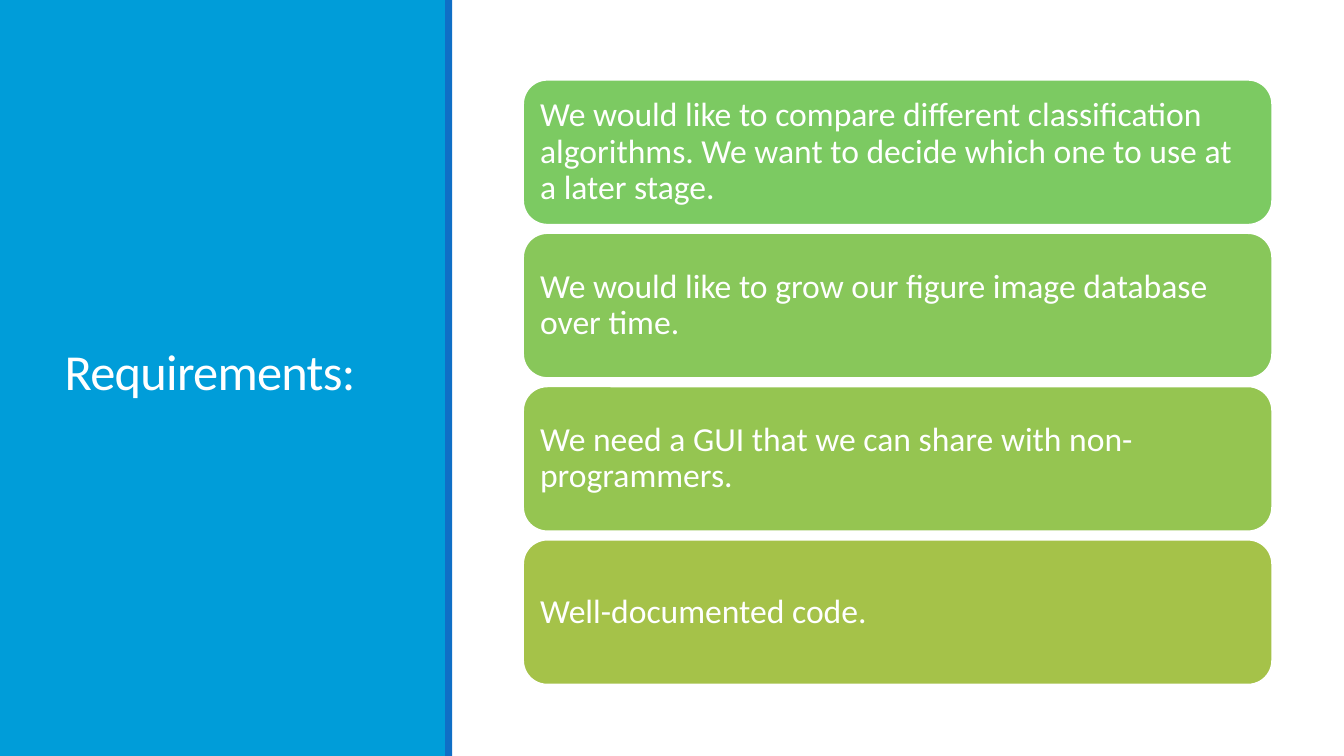
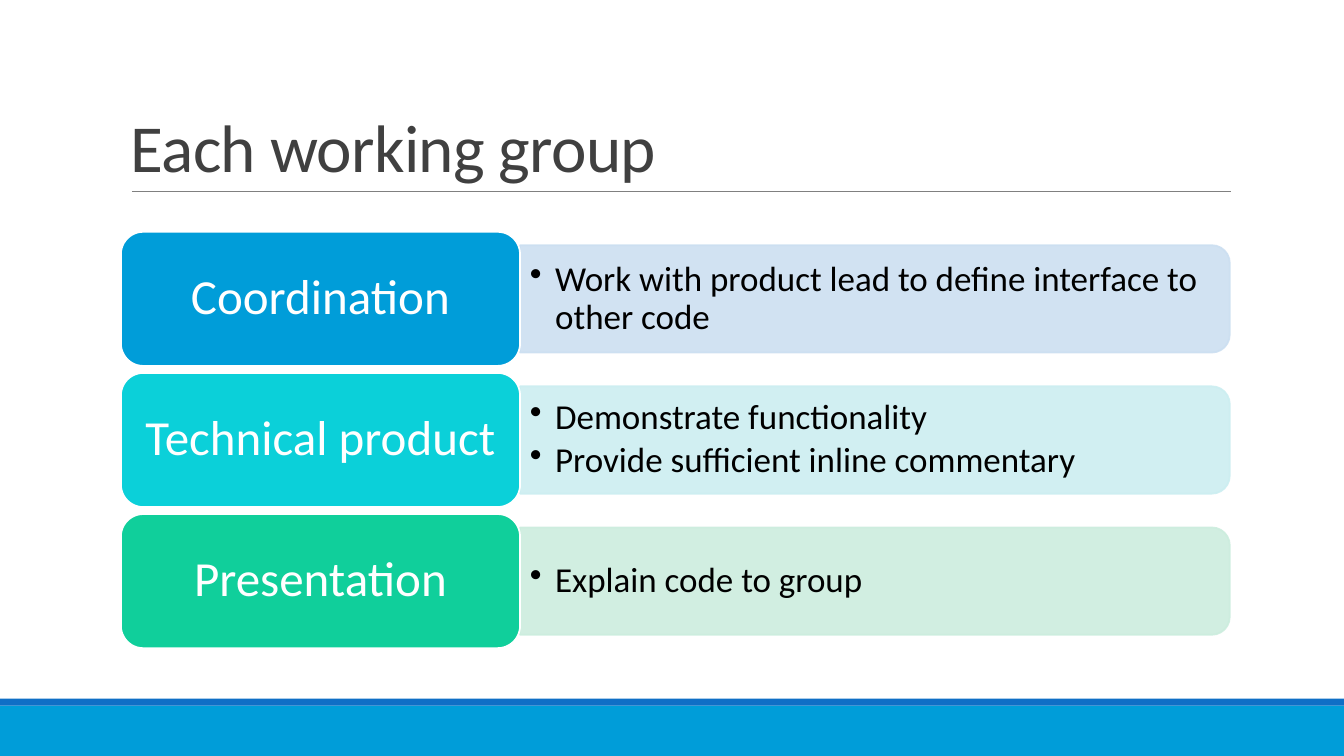
from dataclasses import dataclass

from lxml.etree import SubElement
from pptx import Presentation
from pptx.dml.color import RGBColor
from pptx.enum.shapes import MSO_CONNECTOR as Connector, MSO_SHAPE as Shape
from pptx.enum.text import MSO_ANCHOR as Anchor, PP_ALIGN as Align
from pptx.oxml.ns import qn
from pptx.util import Pt

WHITE = RGBColor(0xFF, 0xFF, 0xFF)
BLACK = RGBColor(0x00, 0x00, 0x00)
CHARCOAL = RGBColor(0x40, 0x40, 0x40)
GREY = RGBColor(0x80, 0x80, 0x80)
SKY = RGBColor(0x00, 0x9D, 0xD9)
BLUE = RGBColor(0x0F, 0x6F, 0xC6)
CYAN = RGBColor(0x0B, 0xD0, 0xD9)
MINT = RGBColor(0x10, 0xCF, 0x9B)
PALE_SKY = RGBColor(0xCC, 0xDF, 0xF1)
PALE_CYAN = RGBColor(0xCC, 0xEE, 0xF1)
PALE_MINT = RGBColor(0xCC, 0xED, 0xDE)
GREEN = RGBColor(0x7C, 0xCA, 0x62)
LEAF = RGBColor(0x88, 0xC7, 0x5A)
LIME = RGBColor(0x95, 0xC5, 0x51)
OLIVE = RGBColor(0xA5, 0xC2, 0x49)

FONT = "Calibri"
WIDTH, HEIGHT = 960, 540
STRIPE = 5

REQUIREMENTS = [
    (GREEN, "We would like to compare different classification algorithms. "
            "We want to decide which one to use at a later stage."),
    (LEAF, "We would like to grow our figure image database over time."),
    (LIME, "We need a GUI that we can share with non-programmers."),
    (OLIVE, "Well-documented code."),
]
GROUPS = [
    ("Coordination", SKY, PALE_SKY,
     ["Work with product lead to define interface to other code"]),
    ("Technical product", CYAN, PALE_CYAN,
     ["Demonstrate functionality", "Provide sufficient inline commentary"]),
    ("Presentation", MINT, PALE_MINT, ["Explain code to group"]),
]


@dataclass
class Box:
    """A rectangle in points."""
    left: float
    top: float
    width: float
    height: float

    def lengths(self):
        """Return the four lengths in the order that python-pptx expects."""
        return Pt(self.left), Pt(self.top), Pt(self.width), Pt(self.height)

    def rows(self, count, gap):
        """Split the box into equal rows."""
        height = (self.height - gap * (count - 1)) / count
        return [Box(self.left, self.top + row * (height + gap), self.width, height)
                for row in range(count)]


def set_all(target, values):
    """Set each attribute in a dict of format values."""
    for name, value in values.items():
        setattr(target, name, value)


def write(shape, lines, size, color, anchor=Anchor.MIDDLE, align=Align.LEFT,
          spacing=0.9, after=0, inset=(7.2, 7.2)):
    """Fill a shape with paragraphs and return them."""
    across, down = (Pt(length) for length in inset)
    frame = shape.text_frame
    set_all(frame, {"word_wrap": True, "vertical_anchor": anchor,
                    "margin_left": across, "margin_right": across,
                    "margin_top": down, "margin_bottom": down})
    for index, line in enumerate(lines):
        para = frame.paragraphs[0] if index == 0 else frame.add_paragraph()
        set_all(para, {"alignment": align, "line_spacing": spacing, "space_after": Pt(after)})
        span = para.add_run()
        span.text = line
        set_all(span.font, {"name": FONT, "size": Pt(size)})
        span.font.color.rgb = color
    return frame.paragraphs


def add_block(page, kind, box, fill, line=None):
    """Add a flat filled shape, outlined when a line colour is given."""
    shape = page.shapes.add_shape(kind, *box.lengths())
    shape.shadow.inherit = False
    shape.fill.solid()
    shape.fill.fore_color.rgb = fill
    if line is None:
        shape.line.fill.background()
    else:
        shape.line.color.rgb = line
        shape.line.width = Pt(1.25)
    return shape


def add_title(page, box, text, size, color, anchor):
    """Add a slide title in the shared tight style."""
    shape = page.shapes.add_textbox(*box.lengths())
    para = write(shape, [text], size, color, anchor, spacing=0.85, inset=(7.2, 3.6))[0]
    para.runs[0].font._element.set("spc", "-50")


def add_band(page, band, stripe):
    """Add a sky band with its darker edge stripe."""
    add_block(page, Shape.RECTANGLE, band, SKY)
    add_block(page, Shape.RECTANGLE, stripe, BLUE)


def add_rule(page, left, right, top):
    """Add the thin line below a title."""
    rule = page.shapes.add_connector(Connector.STRAIGHT, Pt(left), Pt(top), Pt(right), Pt(top))
    rule.line.color.rgb = GREY
    rule.line.width = Pt(0.5)
    SubElement(rule._element.spPr, qn("a:effectLst"))


def add_panel(page, box, fill, lines):
    """Add a pale panel, rounded on its right side, with bulleted text."""
    upright = Box(box.left + (box.width - box.height) / 2,
                  box.top + (box.height - box.width) / 2, box.height, box.width)
    panel = add_block(page, Shape.ROUND_2_SAME_RECTANGLE, upright, fill, fill)
    panel.rotation = 90
    for color in panel._element.spPr.iter(qn("a:srgbClr")):
        SubElement(color, qn("a:alpha"), val="90000")
    text = page.shapes.add_textbox(*Box(box.left, box.top, box.width - 4, box.height).lengths())
    for para in write(text, lines, 25, BLACK, after=3.75, inset=(7.2, 3.6)):
        style = para._p.get_or_add_pPr()
        style.set("marL", str(Pt(18)))
        style.set("indent", str(Pt(-18)))
        SubElement(style, qn("a:buChar"), char="•")


def add_group(page, box, name, fill, pale, lines):
    """Add one row: a label over the left edge of its panel."""
    label_width = box.width * 0.36
    add_panel(page, Box(box.left + label_width, box.top + box.height * 0.1,
                        box.width - label_width, box.height * 0.8), pale, lines)
    label = add_block(page, Shape.ROUNDED_RECTANGLE,
                      Box(box.left, box.top, label_width, box.height), fill, WHITE)
    write(label, [name], 35, WHITE, align=Align.CENTER, inset=(10.5, 5))


def build_requirements(page):
    """Build the slide with a side band and a column of cards."""
    add_band(page, Box(0, 0, 319, HEIGHT), Box(318, 0, STRIPE, HEIGHT))
    add_title(page, Box(39, 41, 243, 454), "Requirements:", 36, WHITE, Anchor.MIDDLE)
    cards = Box(373.7, 57, 535, 432).rows(len(REQUIREMENTS), 6)
    for box, (fill, text) in zip(cards, REQUIREMENTS):
        write(add_block(page, Shape.ROUNDED_RECTANGLE, box, fill, WHITE), [text], 24, WHITE)


def build_groups(page):
    """Build the slide with a bottom band and rows of labelled panels."""
    add_band(page, Box(0, 504, WIDTH, 36), Box(0, 499, WIDTH, STRIPE))
    add_rule(page, 94.3, 879, 136.8)
    add_title(page, Box(86.4, 22.3, 792, 114.5), "Each working group", 48, CHARCOAL,
              Anchor.BOTTOM)
    rows = Box(86.4, 165.6, 792, 297.4).rows(len(GROUPS), 5)
    for box, group in zip(rows, GROUPS):
        add_group(page, box, *group)


def main():
    """Build and save the deck."""
    deck = Presentation()
    set_all(deck, {"slide_width": Pt(WIDTH), "slide_height": Pt(HEIGHT)})
    for build in (build_requirements, build_groups):
        build(deck.slides.add_slide(deck.slide_layouts[6]))
    deck.save("out.pptx")


if __name__ == "__main__":
    main()
